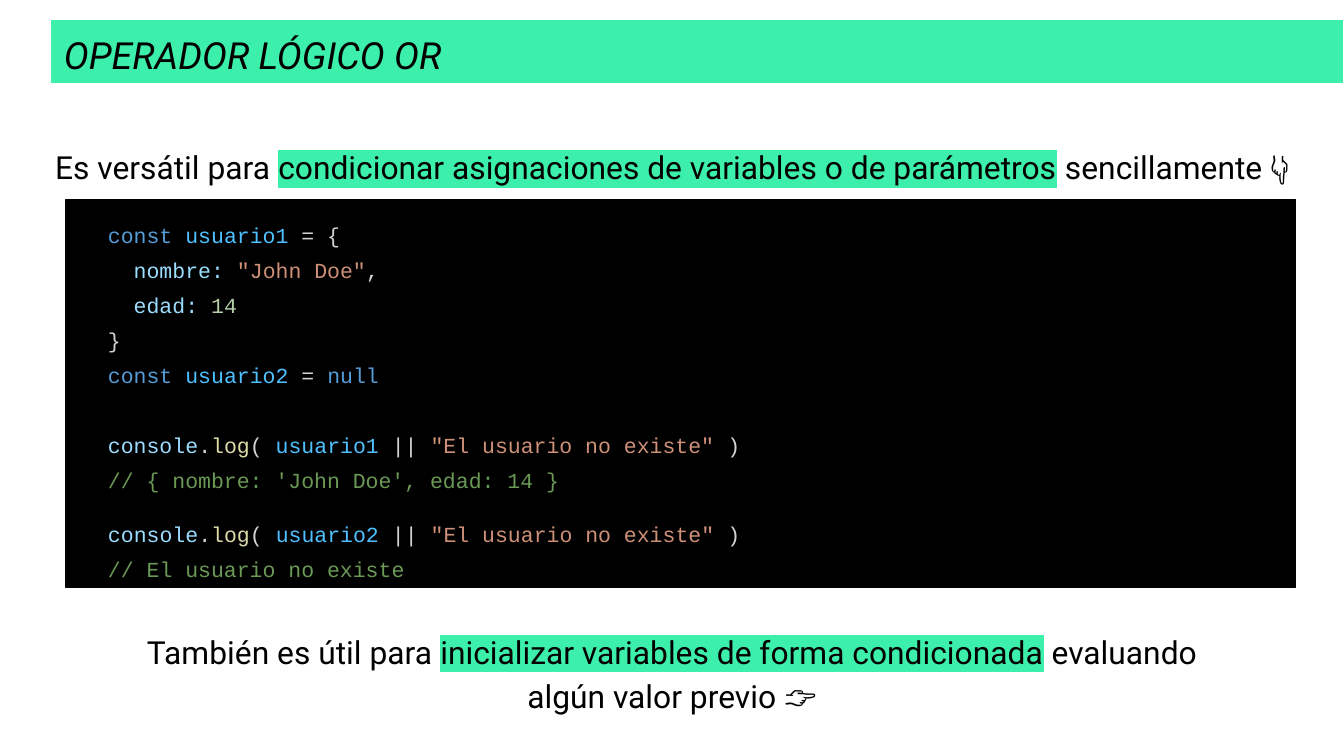
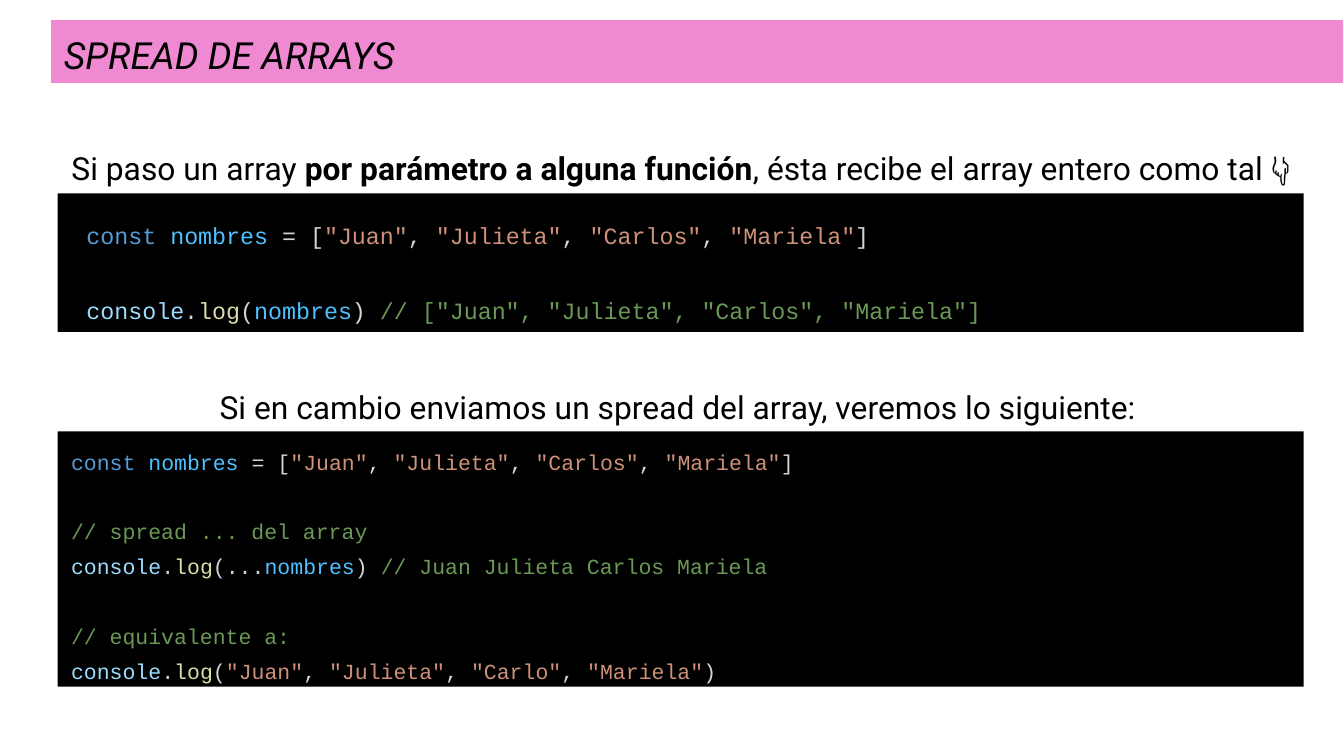
import pptx
import pptx.util
import pptx.dml.color
import pptx.enum.shapes
import pptx.enum.text
import pptx.oxml.ns
from lxml import etree

RGB = pptx.dml.color.RGBColor
PX = 4572  # EMU per px, 200 px to the inch

WHITE = RGB(0xFF, 0xFF, 0xFF)
BLACK = RGB(0x00, 0x00, 0x00)
GREEN = RGB(0x3C, 0xEF, 0xAB)
PINK = RGB(0xEF, 0x89, 0xD2)

KEYWORD = RGB(0x56, 0x9C, 0xD6)
VARIABLE = RGB(0x4F, 0xC1, 0xFF)
PLAIN = RGB(0xD4, 0xD4, 0xD4)
PROPERTY = RGB(0x9C, 0xDC, 0xFE)
STRING = RGB(0xCE, 0x91, 0x78)
NUMBER = RGB(0xB5, 0xCE, 0xA8)
METHOD = RGB(0xDC, 0xDC, 0xAA)
COMMENT = RGB(0x6A, 0x99, 0x55)

TEXT_FONT = "Roboto"
CODE_FONT = "Courier New"
CODE_SPACING = 1.36
BLANK_LINE = 1.61  # height of an empty code line, in font sizes
SLIDE_SIZE = (2000, 1125)
TITLE_BOX = (75, 28, 1925, 97)


def emu(box):
    return [pptx.util.Emu(v * PX) for v in box]


def add_run(p, text, font, size, color, bold=None, italic=None):
    r = p.add_run()
    r.text = text
    r.font.name = font
    r.font.size = pptx.util.Pt(size)
    r.font.color.rgb = color
    r.font.bold = bold
    r.font.italic = italic
    return r


def highlight(r, color):
    fill = r.font._element.find(pptx.oxml.ns.qn("a:solidFill"))
    mark = etree.Element(pptx.oxml.ns.qn("a:highlight"))
    etree.SubElement(mark, pptx.oxml.ns.qn("a:srgbClr"), val=str(color))
    fill.addnext(mark)


def set_frame(tf, auto_size=pptx.enum.text.MSO_AUTO_SIZE.NONE):
    tf.word_wrap = True
    tf.auto_size = auto_size
    tf.vertical_anchor = pptx.enum.text.MSO_ANCHOR.TOP
    tf.margin_left = tf.margin_right = tf.margin_top = tf.margin_bottom = emu([20])[0]


def add_title(s, text, color):
    sp = s.shapes.title
    sp.left, sp.top, sp.width, sp.height = emu(TITLE_BOX)
    sp.fill.solid()
    sp.fill.fore_color.rgb = color
    sp.line.color.rgb = WHITE
    sp.line.width = pptx.util.Pt(0.75)
    set_frame(sp.text_frame)
    p = sp.text_frame.paragraphs[0]
    p.alignment = pptx.enum.text.PP_ALIGN.LEFT
    add_run(p, text, TEXT_FONT, 20, BLACK, italic=True)


def add_caption(s, box, parts, spacing=1.5, after=0):
    """Centred sentence; each part is (text, style), style "", "bold" or "mark"."""
    tf = s.shapes.add_textbox(*emu(box)).text_frame
    set_frame(tf)
    p = tf.paragraphs[0]
    p.alignment = pptx.enum.text.PP_ALIGN.CENTER
    p.line_spacing = spacing
    p.space_after = pptx.util.Pt(after)
    for text, style in parts:
        r = add_run(p, text, TEXT_FONT, 17, BLACK, bold=style == "bold")
        if style == "mark":
            highlight(r, GREEN)


def add_panel(s, box, outlined=False):
    sp = s.shapes.add_shape(pptx.enum.shapes.MSO_SHAPE.RECTANGLE, *emu(box))
    sp.shadow.inherit = False
    sp.fill.solid()
    sp.fill.fore_color.rgb = BLACK
    if outlined:
        sp.line.color.rgb = BLACK
        sp.line.width = pptx.util.Pt(0.75)
    else:
        sp.line.fill.background()


def add_code(s, box, blocks, size=11.5):
    """Blocks of code lines, set apart by the height of an empty line."""
    tf = s.shapes.add_textbox(*emu(box)).text_frame
    set_frame(tf, pptx.enum.text.MSO_AUTO_SIZE.SHAPE_TO_FIT_TEXT)
    p = None
    for block in blocks:
        for i, line in enumerate(block):
            gap = p is not None and i == 0
            p = tf.paragraphs[0] if p is None else tf.add_paragraph()
            p.line_spacing = CODE_SPACING
            if gap:
                p.space_before = pptx.util.Pt(round(size * BLANK_LINE, 1))
            for text, color in line:
                add_run(p, text, CODE_FONT, size, color)


def console_log(opening, arguments, closing):
    return [("console", PROPERTY), (".", PLAIN), ("log", METHOD),
            (opening, PLAIN), *arguments, (closing, PLAIN)]


def string_list(*names):
    tokens = []
    for name in names:
        tokens += [(", ", PLAIN), (f'"{name}"', STRING)]
    return tokens[1:]


def log_or(user):
    return console_log("( ", [(user, VARIABLE), (" || ", PLAIN),
                              ('"El usuario no existe"', STRING)], " )")


def declare(name, *value):
    return [("const ", KEYWORD), (name, VARIABLE), *value]


def build_or_slide(s):
    add_title(s, "OPERADOR LÓGICO OR", GREEN)
    add_caption(s, (41, 172, 1918, 110), [
        ("Es versátil para ", ""),
        ("condicionar asignaciones de variables o de parámetros", "mark"),
        (" sencillamente 👇", "")])
    add_panel(s, (98, 297, 1830, 577), outlined=True)
    add_code(s, (141, 297, 1700, 446), [
        [declare("usuario1", (" = {", PLAIN)),
         [("  nombre: ", PROPERTY), ('"John Doe"', STRING), (",", PLAIN)],
         [("  edad: ", PROPERTY), ("14", NUMBER)],
         [("}", PLAIN)],
         declare("usuario2", (" = ", PLAIN), ("null", KEYWORD))],
        [log_or("usuario1"),
         [("// { nombre: 'John Doe', edad: 14 }", COMMENT)]]])
    add_code(s, (141, 742, 1610, 132), [
        [log_or("usuario2"), [("// El usuario no existe", COMMENT)]]])
    add_caption(s, (174, 913, 1652, 110), [
        ("También es útil para ", ""),
        ("inicializar variables de forma condicionada", "mark"),
        (" evaluando algún valor previo 👉", "")], spacing=1.15)


def build_spread_slide(s):
    names = declare("nombres", (" = [", PLAIN),
                    *string_list("Juan", "Julieta", "Carlos", "Mariela"), ("]", PLAIN))
    variable = [("nombres", VARIABLE)]

    add_title(s, "SPREAD DE ARRAYS", PINK)
    add_caption(s, (56, 173, 1914, 114), [
        ("Si paso un array ", ""),
        ("por parámetro a alguna función", "bold"),
        (", ésta recibe el array entero como tal 👇", "")], after=11)
    add_panel(s, (86, 288, 1854, 206))
    add_code(s, (109, 294, 1800, 196), [
        [names],
        [console_log("(", variable, ") ")
         + [('// ["Juan", "Julieta", "Carlos", "Mariela"]', COMMENT)]]], size=12.5)

    add_caption(s, (52, 529, 1914, 114), [
        ("Si en cambio enviamos un spread del array, veremos lo siguiente:", "")], after=11)
    add_panel(s, (86, 642, 1854, 380))
    add_code(s, (86, 634, 1738, 394), [
        [names],
        [[("// spread ... del array", COMMENT)],
         console_log("(...", variable, ") ")
         + [("// Juan Julieta Carlos Mariela", COMMENT)]],
        [[("// equivalente a:", COMMENT)],
         console_log("(", string_list("Juan", "Julieta", "Carlo", "Mariela"), ")")]])


def main():
    prs = pptx.Presentation()
    prs.slide_width, prs.slide_height = emu(SLIDE_SIZE)
    title_only = prs.slide_layouts[5]
    for build in (build_or_slide, build_spread_slide):
        build(prs.slides.add_slide(title_only))
    prs.save("out.pptx")


if __name__ == "__main__":
    main()
